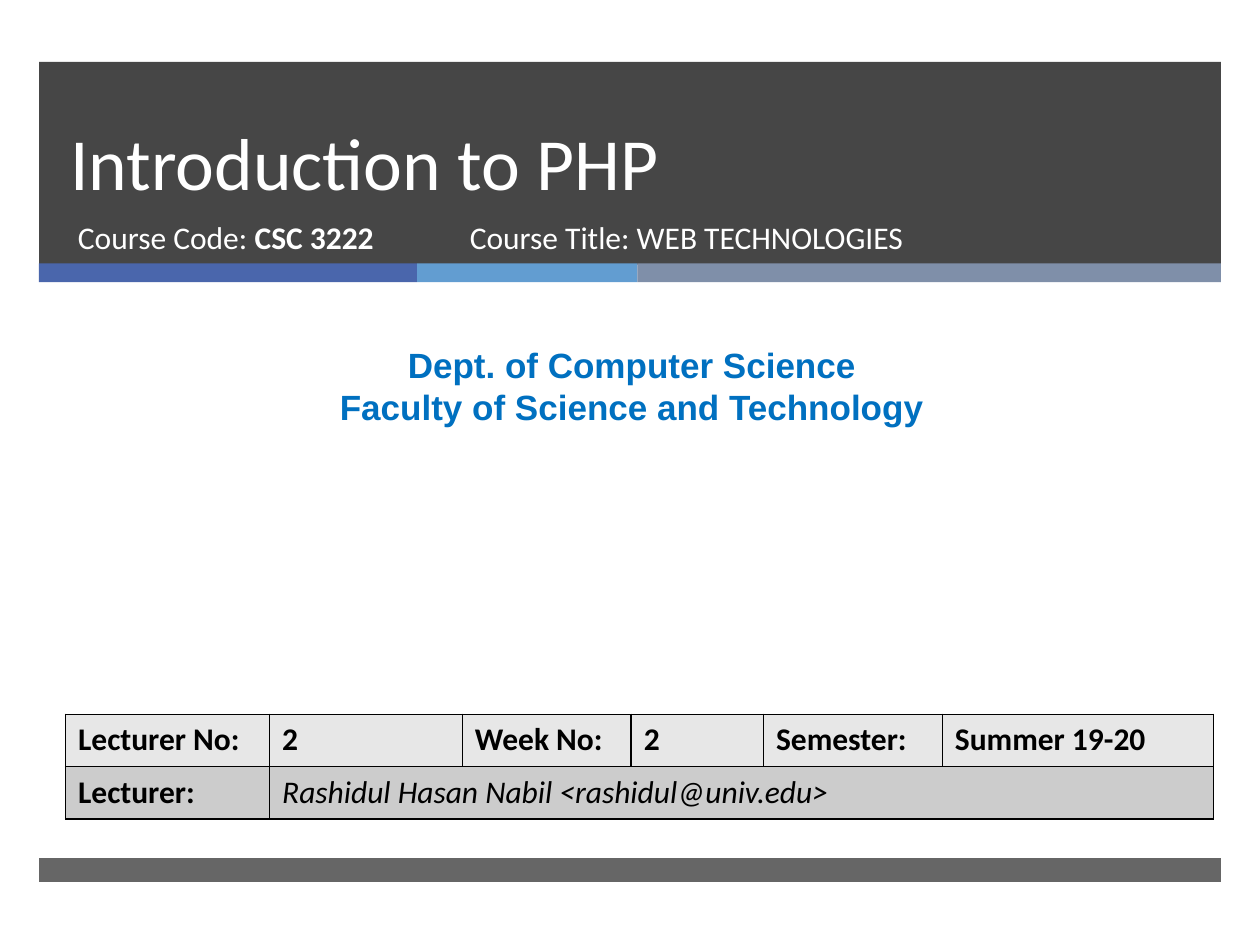
import pptx
import pptx.dml.color
import pptx.enum.shapes
import pptx.enum.text
import pptx.oxml
import pptx.oxml.ns
import pptx.util

Inches, Pt = pptx.util.Inches, pptx.util.Pt
RGB = pptx.dml.color.RGBColor
ANCHOR, ALIGN = pptx.enum.text.MSO_ANCHOR, pptx.enum.text.PP_ALIGN

WHITE = RGB(0xFF, 0xFF, 0xFF)
BLACK = RGB(0, 0, 0)
CHARCOAL = RGB(0x26, 0x26, 0x26)
INDIGO = RGB(0x4A, 0x66, 0xAC)
SKY = RGB(0x62, 0x9D, 0xD1)
SLATE = RGB(0x7F, 0x8F, 0xA9)
BLUE = RGB(0x00, 0x70, 0xC0)
LIGHT = RGB(0xE7, 0xE7, 0xE7)
GREY = RGB(0xCC, 0xCC, 0xCC)
NS = pptx.oxml.ns.nsdecls("a")


class CoverSlide:
    """Holds the text style and the current slide."""

    style = {"name": "Calibri", "size": Pt(18), "bold": False, "italic": False}

    def __init__(self, prs):
        """Add a blank slide to the presentation."""
        self.slide = prs.slides.add_slide(prs.slide_layouts[6])

    def bar(self, left, top, width, height, color, opacity=100):
        """Draw a plain filled rectangle."""
        sp = self.slide.shapes.add_shape(
            pptx.enum.shapes.MSO_SHAPE.RECTANGLE,
            *map(Inches, (left, top, width, height)))
        sp.shadow.inherit = False
        sp.line.fill.background()
        sp.fill.solid()
        sp.fill.fore_color.rgb = color
        if opacity < 100:
            clr = sp.fill._xPr.find(".//" + pptx.oxml.ns.qn("a:srgbClr"))
            clr.append(pptx.oxml.parse_xml(f'<a:alpha {NS} val="{opacity * 1000}"/>'))

    def run(self, p, text, color, **fmt):
        """Append a run with the base style and its changes."""
        r = p.add_run()
        r.text = text
        for key, value in {**self.style, **fmt}.items():
            setattr(r.font, key, value)
        r.font.color.rgb = color

    def text(self, box, paragraphs, color=WHITE, anchor=ANCHOR.TOP, para=None, **fmt):
        """Add a text box; each paragraph is a list of (text, changes) runs."""
        tf = self.slide.shapes.add_textbox(*map(Inches, box)).text_frame
        tf.word_wrap = True
        tf.vertical_anchor = anchor
        for i, runs in enumerate(paragraphs):
            p = tf.add_paragraph() if i else tf.paragraphs[0]
            for key, value in (para or {}).items():
                setattr(p, key, value)
            for words, changes in runs:
                self.run(p, words, color, **{**fmt, **changes})

    def cell(self, cell, fill, words="", **fmt):
        """Fill, border and write one table cell."""
        cell.fill.solid()
        cell.fill.fore_color.rgb = fill
        if words:
            self.run(cell.text_frame.paragraphs[0], words, BLACK, **fmt)
        for i, side in enumerate("LRTB"):
            cell._tc.tcPr.insert(i, pptx.oxml.parse_xml(
                f'<a:ln{side} {NS} w="12700"><a:solidFill>'
                f'<a:srgbClr val="{BLACK}"/></a:solidFill></a:ln{side}>'))

    def table(self, left, top, widths, height, rows, fills):
        """Add a table whose last row spans all columns after its label."""
        tbl = self.slide.shapes.add_table(
            len(rows), len(widths), Inches(left), Inches(top),
            Inches(sum(widths)), Inches(height * len(rows))).table
        for col, width in zip(tbl.columns, widths):
            col.width = Inches(width)
        last = len(rows) - 1
        tbl.cell(last, 1).merge(tbl.cell(last, len(widths) - 1))
        for i, (row, fill) in enumerate(zip(rows, fills)):
            tbl.rows[i].height = Inches(height)
            for j in range(len(widths)):
                words, fmt = row[j] if j < len(row) else ("", {})
                self.cell(tbl.cell(i, j), fill, words, **fmt)


prs = pptx.Presentation()
prs.slide_width, prs.slide_height = Inches(10), Inches(7.5)
s = CoverSlide(prs)

LEFT, WIDTH = 0.31, 9.38
s.bar(LEFT, 0.49, WIDTH, 1.61, CHARCOAL, 85)
x = LEFT
for width, color in ((3, INDIGO), (1.75, SKY), (4.63, SLATE)):
    s.bar(x, 2.09, width, 0.15, color)
    x += width
s.bar(LEFT, 6.81, WIDTH, 0.19, CHARCOAL, 70)

BOLD, ITALIC = {"bold": True}, {"italic": True}
s.text((0.46, 0.49, 8.54, 1.19), [[("Introduction to PHP", {})]],
       anchor=ANCHOR.BOTTOM, para={"line_spacing": Pt(46)}, size=Pt(42))
s.text((0.52, 1.68, 3.05, 0.53), [[("Course Code: ", {}), ("CSC 3222", BOLD)]])
s.text((3.63, 1.68, 4.55, 0.53), [[("Course Title: WEB TECHNOLOGIES", {})]])
s.text((0.08, 2.68, 9.87, 0.77),
       [[("Dept. of Computer Science", {})],
        [("Faculty of Science and Technology", {})]],
       color=BLUE, para={"alignment": ALIGN.CENTER, "line_spacing": Pt(24)},
       name="Arial", size=Pt(20), bold=True)

details = ["Lecturer No:", "2", "Week No:", "2", "Semester:", "Summer 19-20"]
s.table(0.52, 5.67, (1.62, 1.53, 1.34, 1.05, 1.42, 2.15), 0.415,
        [[(words, BOLD) for words in details],
         [("Lecturer:", BOLD),
          ("Rashidul Hasan Nabil <rashidul@univ.edu>", ITALIC)]],
        (LIGHT, GREY))

prs.save("out.pptx")
